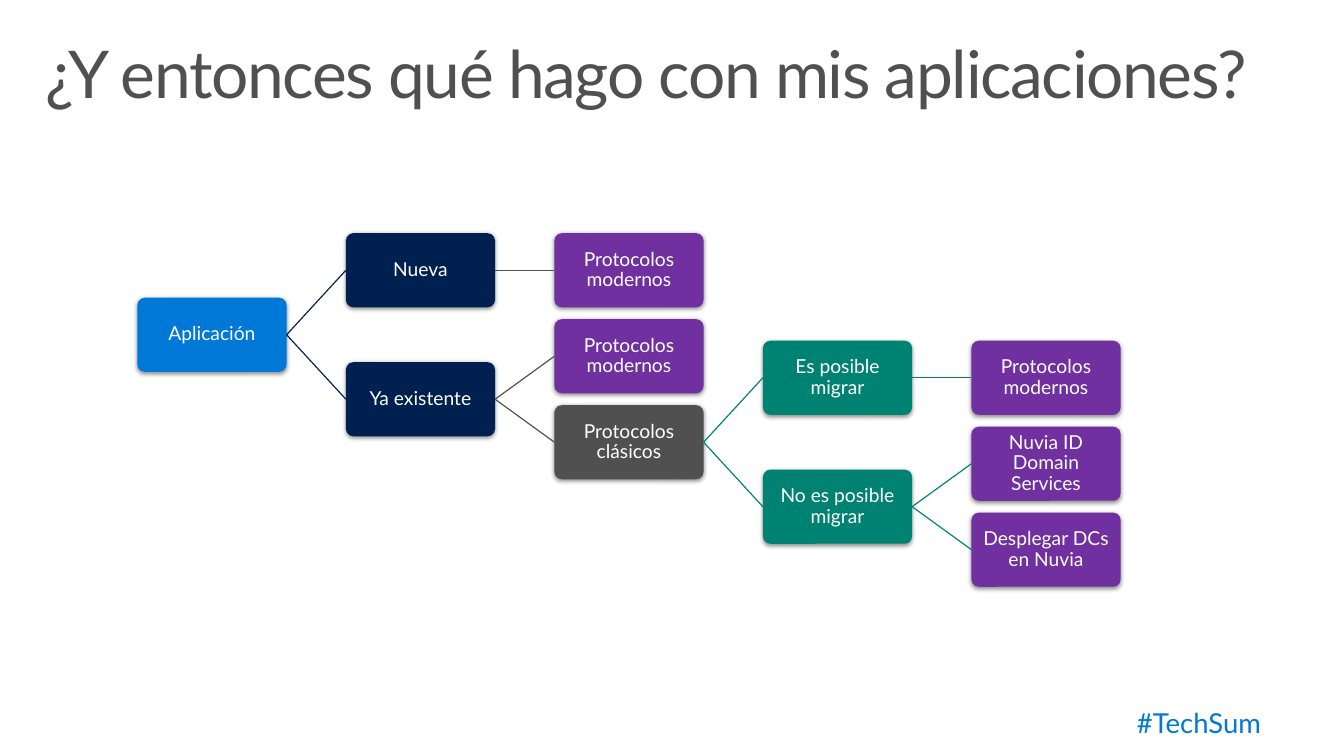
from lxml.etree import SubElement
from pptx import Presentation
from pptx.dml.color import RGBColor
from pptx.enum.shapes import MSO_CONNECTOR, MSO_SHAPE
from pptx.enum.text import MSO_ANCHOR, MSO_AUTO_SIZE, PP_ALIGN
from pptx.oxml.ns import qn
from pptx.util import Inches, Pt

TITLE = "¿Y entonces qué hago con mis aplicaciones?"
HASHTAG = "#TechSum"
FONT = "Lato"
BLUE, NAVY, GRAY = "0078D7", "002050", "505050"
PURPLE, TEAL, WHITE = "7030A0", "008272", "FFFFFF"

# key: (text, column, row, fill, parent)
NODES = {
    "application": ("Aplicación", 0, 0.75, BLUE, None),
    "new": ("Nueva", 1, 0, NAVY, "application"),
    "new modern": ("Protocolos modernos", 2, 0, PURPLE, "new"),
    "existing": ("Ya existente", 1, 1.5, NAVY, "application"),
    "existing modern": ("Protocolos modernos", 2, 1, PURPLE, "existing"),
    "classic": ("Protocolos clásicos", 2, 2, GRAY, "existing"),
    "migrate": ("Es posible migrar", 3, 1.25, TEAL, "classic"),
    "migrated modern": ("Protocolos modernos", 4, 1.25, PURPLE, "migrate"),
    "stay": ("No es posible migrar", 3, 2.75, TEAL, "classic"),
    "domain services": ("Nuvia ID Domain Services", 4, 2.25, PURPLE, "stay"),
    "deploy": ("Desplegar DCs en Nuvia", 4, 3.25, PURPLE, "stay"),
}
LINE_COLORS = {1: NAVY, 2: GRAY, 3: TEAL, 4: TEAL}

TREE_LEFT, TREE_TOP = 1.39, 2.36
COLUMN_STEP, ROW_STEP = 2.11, 0.87
NODE_WIDTH, NODE_HEIGHT = 1.51, 0.75


def color(value):
    return RGBColor.from_string(value)


def write(shape, text, size, text_color, alignment, anchor, side, top):
    frame = shape.text_frame
    frame.word_wrap = True
    frame.auto_size = MSO_AUTO_SIZE.NONE
    frame.vertical_anchor = anchor
    frame.margin_left = frame.margin_right = Inches(side)
    frame.margin_top = frame.margin_bottom = Inches(top)
    frame.text = text
    paragraph = frame.paragraphs[0]
    paragraph.alignment = alignment
    paragraph.line_spacing = 0.9
    paragraph.font.name = FONT
    paragraph.font.size = Pt(size)
    paragraph.font.color.rgb = color(text_color)
    return paragraph


def add_shadow(shape):
    shape.shadow.inherit = False
    effects = shape._element.spPr.find(qn("a:effectLst"))
    shadow = SubElement(effects, qn("a:outerShdw"), blurRad=str(Pt(3.5)),
                        dist=str(Pt(1.1)), dir="5400000", rotWithShape="0")
    black = SubElement(shadow, qn("a:srgbClr"), val="000000")
    SubElement(black, qn("a:alpha"), val="45000")


def add_node(slide, text, column, row, fill):
    node = slide.shapes.add_shape(
        MSO_SHAPE.ROUNDED_RECTANGLE,
        Inches(TREE_LEFT + column * COLUMN_STEP), Inches(TREE_TOP + row * ROW_STEP),
        Inches(NODE_WIDTH), Inches(NODE_HEIGHT))
    node.adjustments[0] = 0.1
    node.fill.solid()
    node.fill.fore_color.rgb = color(fill)
    node.line.fill.background()
    add_shadow(node)
    write(node, text, 14, WHITE, PP_ALIGN.CENTER, MSO_ANCHOR.MIDDLE, 0.03, 0.03)
    return node


def add_branch(slide, parent, child, line_color):
    branch = slide.shapes.add_connector(MSO_CONNECTOR.STRAIGHT, 0, 0, 0, 0)
    branch.begin_connect(parent, 3)
    branch.end_connect(child, 1)
    branch.line.color.rgb = color(line_color)
    branch.line.width = Pt(0.85)
    SubElement(branch._element.spPr, qn("a:effectLst"))


def main():
    presentation = Presentation()
    presentation.slide_width = Inches(13.6)
    presentation.slide_height = Inches(7.65)
    slide = presentation.slides.add_slide(presentation.slide_layouts[5])

    title = slide.shapes.title
    title.left, title.top = Inches(0.3), Inches(0.32)
    title.width, title.height = Inches(13), Inches(1)
    paragraph = write(title, TITLE, 48, GRAY, PP_ALIGN.LEFT, MSO_ANCHOR.TOP, 0.16, 0.1)
    paragraph.runs[0].font._element.set("spc", "-100")

    hashtag = slide.shapes.add_textbox(Inches(8.97), Inches(7.02), Inches(3.99), Inches(0.63))
    write(hashtag, HASHTAG, 20, BLUE, PP_ALIGN.RIGHT, MSO_ANCHOR.TOP, 0.2, 0.16)

    shapes = {}
    for key, (text, column, row, fill, parent) in NODES.items():
        shapes[key] = add_node(slide, text, column, row, fill)
        if parent:
            add_branch(slide, shapes[parent], shapes[key], LINE_COLORS[column])

    presentation.save("out.pptx")


if __name__ == "__main__":
    main()
